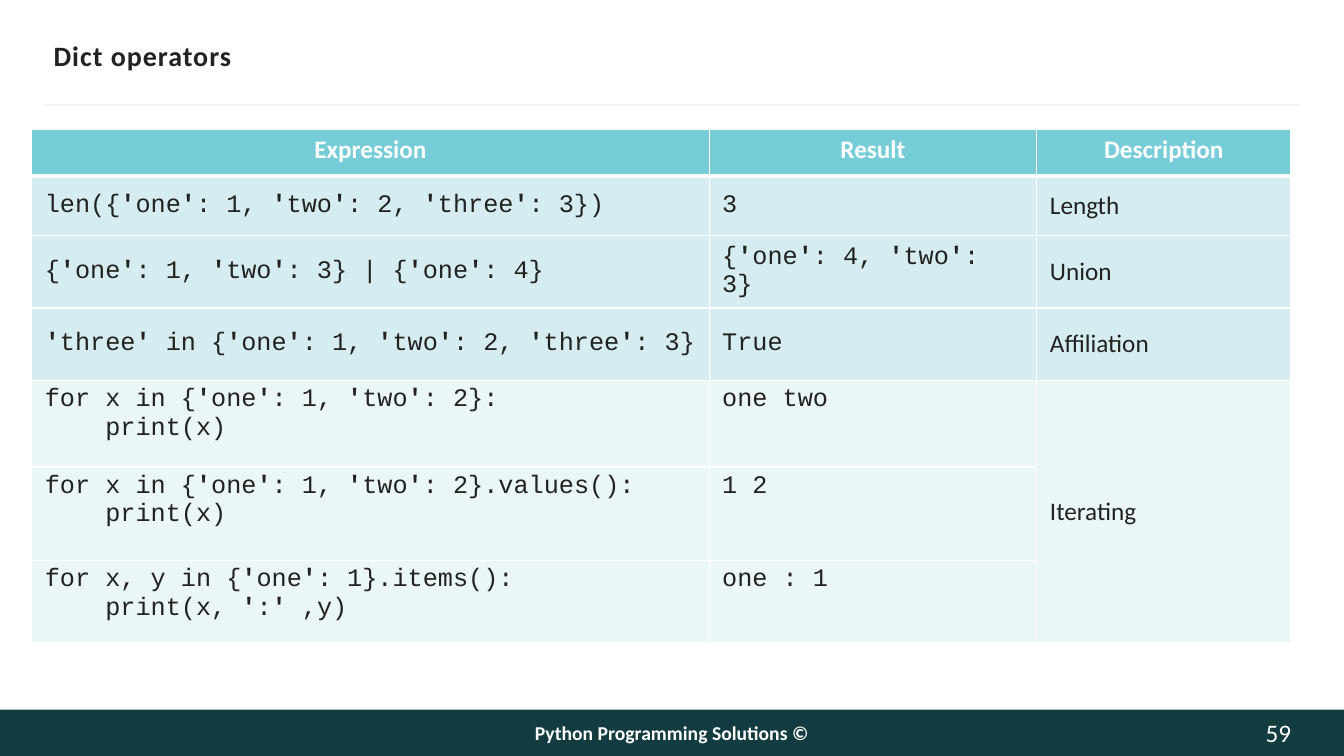
from pptx import Presentation
from pptx import util as u
from pptx.dml import color
from pptx.enum import shapes, text
from pptx.oxml import parse_xml
from pptx.oxml import ns

WHITE, INK, TEAL = "FFFFFF", "222222", "133C41"
HEADER, BAND, PALE = "76CDD8", "D5ECF0", "EBF6F7"
BODY, CODE = "Calibri", "Courier New"
TOP, MIDDLE = text.MSO_ANCHOR.TOP, text.MSO_ANCHOR.MIDDLE
LEFT, CENTER, RIGHT = text.PP_ALIGN.LEFT, text.PP_ALIGN.CENTER, text.PP_ALIGN.RIGHT

COLUMN_WIDTHS = [17.07, 8.26, 6.4]
ROW_HEIGHTS = [1.17, 1.5, 1.83, 1.83, 2.18, 2.36, 2.06]
HEADINGS = ["Expression", "Result", "Description"]
OPERATORS = [
    ("len({'one': 1, 'two': 2, 'three': 3})", "3", "Length"),
    ("{'one': 1, 'two': 3} | {'one': 4}", "{'one': 4, 'two': 3}", "Union"),
    ("'three' in {'one': 1, 'two': 2, 'three': 3}", "True", "Affiliation"),
    ("for x in {'one': 1, 'two': 2}:\n    print(x)", "one two", "Iterating"),
    ("for x in {'one': 1, 'two': 2}.values():\n    print(x)", "1 2", ""),
    ("for x, y in {'one': 1}.items():\n    print(x, ':' ,y)", "one : 1", ""),
]
FIRST_LOOP = 4


def rgb(value):
    return color.RGBColor.from_string(value)


class SlideBuilder:
    def __init__(self, slide):
        self.slide = slide

    def style(self, run, size, ink, bold=False, font=BODY):
        run.font.name = font
        run.font.size = u.Pt(size)
        run.font.bold = bold
        run.font.color.rgb = rgb(ink)

    def bar(self, left, top, width, height, fill):
        shape = self.slide.shapes.add_shape(
            shapes.MSO_SHAPE.RECTANGLE, u.Cm(left), u.Cm(top), u.Cm(width), u.Cm(height))
        shape.shadow.inherit = False
        shape.fill.solid()
        shape.fill.fore_color.rgb = rgb(fill)
        shape.line.fill.background()

    def rule(self, left, right, top, ink, width):
        line = self.slide.shapes.add_connector(
            shapes.MSO_CONNECTOR.STRAIGHT, u.Cm(left), u.Cm(top), u.Cm(right), u.Cm(top))
        line.line.color.rgb = rgb(ink)
        line.line.width = u.Pt(width)
        line._element.spPr.append(parse_xml(f"<a:effectLst {ns.nsdecls('a')}/>"))

    def label(self, left, top, width, height, words, size, ink,
              bold=False, align=LEFT, spacing=0):
        box = self.slide.shapes.add_textbox(u.Cm(left), u.Cm(top), u.Cm(width), u.Cm(height))
        frame = box.text_frame
        frame.word_wrap = True
        frame.vertical_anchor = MIDDLE
        frame.margin_left = frame.margin_right = 0
        frame.margin_top = frame.margin_bottom = 0
        frame.text = words
        paragraph = frame.paragraphs[0]
        paragraph.alignment = align
        run = paragraph.runs[0]
        self.style(run, size, ink, bold)
        if spacing:
            run.font._element.set("spc", str(spacing))

    def table(self, left, top, widths, heights):
        table = self.slide.shapes.add_table(
            len(heights), len(widths), u.Cm(left), u.Cm(top),
            u.Cm(sum(widths)), u.Cm(sum(heights))).table
        table.horz_banding = False
        for column, width in zip(table.columns, widths):
            column.width = u.Cm(width)
        for row, height in zip(table.rows, heights):
            row.height = u.Cm(height)
        return table

    def cell(self, cell, fill, anchor, above=0.96, below=0.96):
        cell.margin_left = cell.margin_right = u.Cm(0.33)
        cell.margin_top = cell.margin_bottom = u.Cm(0.13)
        cell.vertical_anchor = anchor
        cell.fill.solid()
        cell.fill.fore_color.rgb = rgb(fill)
        borders = {"L": 0.96, "R": 0.96, "T": above, "B": below}
        for index, (side, width) in enumerate(borders.items()):
            cell._tc.get_or_add_tcPr().insert(index, parse_xml(
                f'<a:ln{side} {ns.nsdecls("a")} w="{u.Pt(width)}"><a:solidFill>'
                f'<a:srgbClr val="{WHITE}"/></a:solidFill></a:ln{side}>'))

    def cell_text(self, cell, words, ink, bold=False, align=LEFT):
        cell.text_frame.text = words
        paragraph = cell.text_frame.paragraphs[0]
        paragraph.alignment = align
        for run in paragraph.runs:
            self.style(run, 18, ink, bold)

    def cell_code(self, cell, code):
        paragraph = cell.text_frame.paragraphs[0]
        for number, line in enumerate(code.split("\n")):
            if number:
                paragraph.add_line_break()
            for piece in line.replace("'", "\t'\t").split("\t"):
                if piece:
                    run = paragraph.add_run()
                    run.text = piece
                    self.style(run, 18, INK, piece == "'", CODE)


def main():
    presentation = Presentation()
    presentation.slide_width = u.Cm(33.87)
    presentation.slide_height = u.Cm(19.05)
    builder = SlideBuilder(presentation.slides.add_slide(presentation.slide_layouts[6]))

    builder.bar(0, 17.88, 33.87, 1.17, TEAL)
    builder.rule(1.09, 32.77, 2.64, "F5F5F5", 1.5)
    builder.label(8.89, 17.88, 16.08, 1.14, "Python Programming Solutions ©",
                  14, WHITE, True, CENTER)

    table = builder.table(0.8, 3.26, COLUMN_WIDTHS, ROW_HEIGHTS)
    for column, heading in enumerate(HEADINGS):
        cell = table.cell(0, column)
        builder.cell(cell, HEADER, TOP, below=3)
        builder.cell_text(cell, heading, WHITE, True, CENTER)
    for row, (expression, result, description) in enumerate(OPERATORS, 1):
        looping = row >= FIRST_LOOP
        for column in range(len(HEADINGS)):
            anchor = TOP if looping and column < 2 else MIDDLE
            builder.cell(table.cell(row, column), PALE if looping else BAND, anchor,
                         above=3 if row == 1 else 0.96)
        builder.cell_code(table.cell(row, 0), expression)
        builder.cell_code(table.cell(row, 1), result)
        builder.cell_text(table.cell(row, 2), description, INK)
    table.cell(FIRST_LOOP, 2).merge(table.cell(len(OPERATORS), 2))

    builder.label(1.35, 0.84, 31.22, 1.12, "Dict operators", 20, INK, True, spacing=70)
    builder.label(30.86, 17.88, 1.68, 1.17, "59", 18, "FEFEFE", align=RIGHT)
    presentation.save("out.pptx")


if __name__ == "__main__":
    main()
